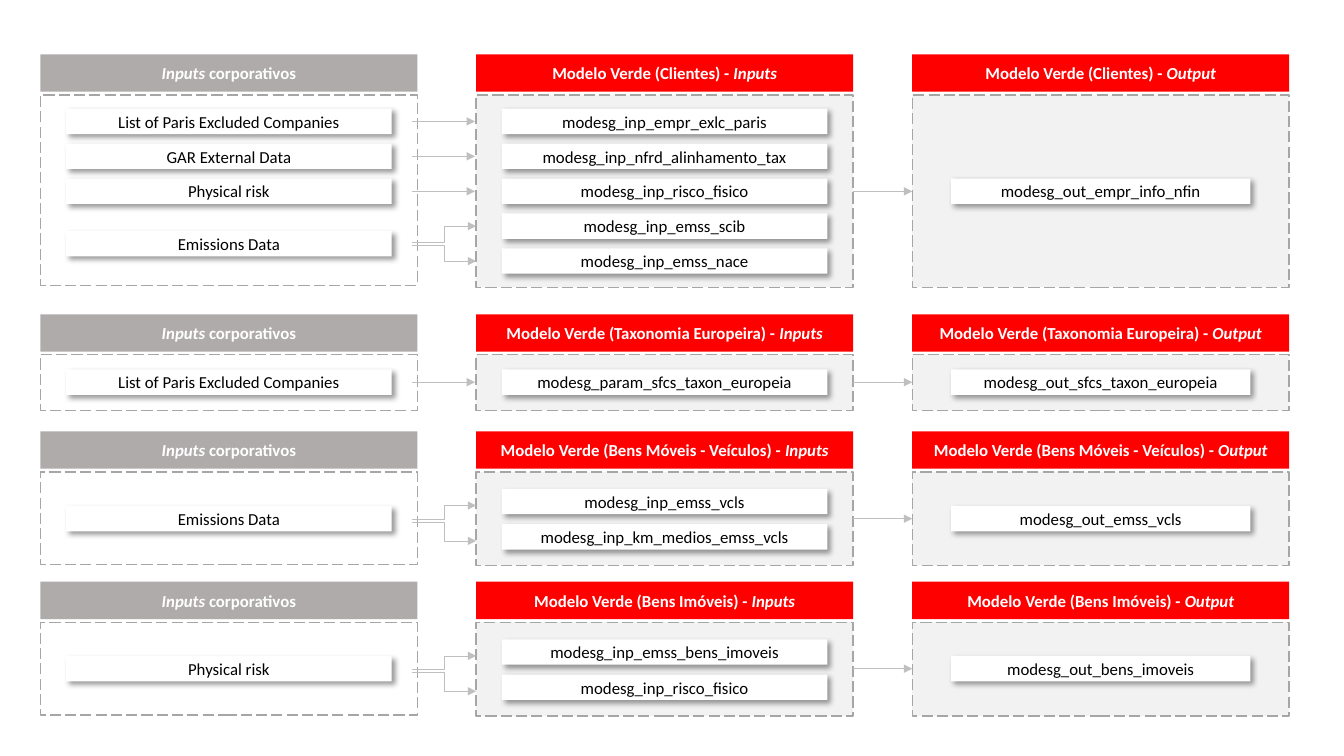
from lxml import etree
from pptx import Presentation
from pptx.dml.color import RGBColor as Color
from pptx.enum.dml import MSO_LINE as Dash
from pptx.enum.shapes import MSO_CONNECTOR as Link, MSO_SHAPE as Form
from pptx.enum.text import MSO_ANCHOR as Anchor, PP_ALIGN as Align
from pptx.oxml import parse_xml
from pptx.oxml.ns import nsdecls, qn
from pptx.util import Cm, Pt

RED = Color(0xFF, 0x00, 0x00)
GREY = Color(0xAF, 0xAB, 0xAB)
PALE = Color(0xF2, 0xF2, 0xF2)
EDGE = Color(0xA6, 0xA6, 0xA6)
WIRE = Color(0xBF, 0xBF, 0xBF)
WHITE = Color(0xFF, 0xFF, 0xFF)
BLACK = Color(0x00, 0x00, 0x00)

LEFT, MID, RIGHT = 1.02, 12, 22.99
WIDE, HEAD, BODY = 9.5, 0.94, 1.02
CARD = 0.64
EXIT, ENTRY = 10.39, 11.97

SHADE = (
    f'<a:effectLst {nsdecls("a")}>'
    '<a:outerShdw blurRad="50800" dist="38100" dir="2700000" algn="tl" rotWithShape="0">'
    '<a:srgbClr val="000000"><a:alpha val="40000"/></a:srgbClr>'
    '</a:outerShdw></a:effectLst>'
)


class Board:
    def __init__(self, slide, font="Calibri", size=12):
        self.shapes = slide.shapes
        self.font = font
        self.size = size

    def box(self, x, y, w, h, fill):
        shape = self.shapes.add_shape(Form.RECTANGLE, Cm(x), Cm(y), Cm(w), Cm(h))
        shape.shadow.inherit = False
        shape.fill.solid()
        shape.fill.fore_color.rgb = fill
        shape.line.fill.background()
        return shape

    def label(self, shape, parts, color, bold=False):
        frame = shape.text_frame
        frame.word_wrap = True
        frame.vertical_anchor = Anchor.MIDDLE
        frame.margin_top = frame.margin_bottom = 0
        para = frame.paragraphs[0]
        para.alignment = Align.CENTER
        para.font.name = self.font
        para.font.size = Pt(self.size)
        para.font.bold = bold
        para.font.color.rgb = color
        for text, slant in parts:
            run = para.add_run()
            run.text = text
            if slant:
                run.font.italic = True

    def panel(self, x, y, h, fill):
        line = self.box(x, y, WIDE, h, fill).line
        line.color.rgb = EDGE
        line.width = Pt(1)
        line.dash_style = Dash.LONG_DASH

    def header(self, x, y, parts, fill):
        self.label(self.box(x, y, WIDE, HEAD, fill), parts, WHITE, bold=True)

    def card(self, x, y, w, text):
        shape = self.box(x + (WIDE - w) / 2, y, w, CARD, WHITE)
        props = shape._element.spPr
        props.replace(props.find(qn("a:effectLst")), parse_xml(SHADE))
        self.label(shape, [(text, False)], BLACK)

    def arrow(self, x1, y1, x2, y2, kind=Link.STRAIGHT):
        wire = self.shapes.add_connector(kind, Cm(x1), Cm(y1), Cm(x2), Cm(y2))
        wire.line.color.rgb = WIRE
        wire.line.width = Pt(0.5)
        props = wire._element.spPr
        etree.SubElement(props.find(qn("a:ln")), qn("a:tailEnd"), type="triangle")
        etree.SubElement(props, qn("a:effectLst"))

    def fork(self, y, ends, drop):
        for end, gap in zip(ends, (-0.04, 0.04)):
            self.arrow(EXIT, y + gap + drop / 2, MID, end + drop, Link.ELBOW)

    def band(self, top, tall, short, name, feeds, inputs, output, drop=0):
        columns = (
            (LEFT, short, WHITE, GREY, [("Inputs ", True), ("corporativos", False)], feeds, 8.2),
            (MID, tall, PALE, RED, [(name, False), ("Inputs", True)], inputs, 8.2),
            (RIGHT, tall, PALE, RED, [(name, False), ("Output", True)], [output], 7.54),
        )
        for x, h, fill, tint, title, cards, w in columns:
            self.panel(x, top + BODY, h, fill)
            self.header(x, top, title, tint)
            for text, y in cards:
                self.card(x, top + y, w, text)

        half = top + CARD / 2
        marks = [half + y for _, y in inputs]
        pairs = len(feeds) - (len(inputs) > len(feeds))
        for y in marks[:pairs]:
            self.arrow(EXIT, y, ENTRY, y)
        if marks[pairs:]:
            self.fork(half + feeds[-1][1], marks[pairs:], drop)
        y = half + output[1]
        self.arrow(MID + WIDE, y, RIGHT, y)


def main():
    deck = Presentation()
    deck.slide_width, deck.slide_height = Cm(33.87), Cm(19.05)
    board = Board(deck.slides.add_slide(deck.slide_layouts[6]))

    rows = [1.37 + 0.88 * i for i in range(5)]
    feeds = ["List of Paris Excluded Companies", "GAR External Data", "Physical risk"]
    inputs = [
        "modesg_inp_empr_exlc_paris",
        "modesg_inp_nfrd_alinhamento_tax",
        "modesg_inp_risco_fisico",
        "modesg_inp_emss_scib",
        "modesg_inp_emss_nace",
    ]
    board.band(
        1.37, 4.85, 4.8, "Modelo Verde (Clientes) - ",
        [*zip(feeds, rows), ("Emissions Data", 4.45)],
        [*zip(inputs, rows)],
        ("modesg_out_empr_info_nfin", rows[2]),
    )
    board.band(
        7.92, 1.4, 1.4, "Modelo Verde (Taxonomia Europeira) - ",
        [(feeds[0], 1.39)],
        [("modesg_param_sfcs_taxon_europeia", 1.39)],
        ("modesg_out_sfcs_taxon_europeia", 1.39),
    )
    board.band(
        10.87, 2.36, 2.34, "Modelo Verde (Bens Móveis - Veículos) - ",
        [("Emissions Data", 1.88)],
        [("modesg_inp_emss_vcls", 1.45), ("modesg_inp_km_medios_emss_vcls", 2.34)],
        ("modesg_out_emss_vcls", 1.88),
        drop=0.1,
    )
    board.band(
        14.66, 2.36, 2.34, "Modelo Verde (Bens Imóveis) - ",
        [("Physical risk", 1.87)],
        [("modesg_inp_emss_bens_imoveis", 1.45), (inputs[2], 2.34)],
        ("modesg_out_bens_imoveis", 1.87),
        drop=0.1,
    )
    deck.save("out.pptx")


if __name__ == "__main__":
    main()
